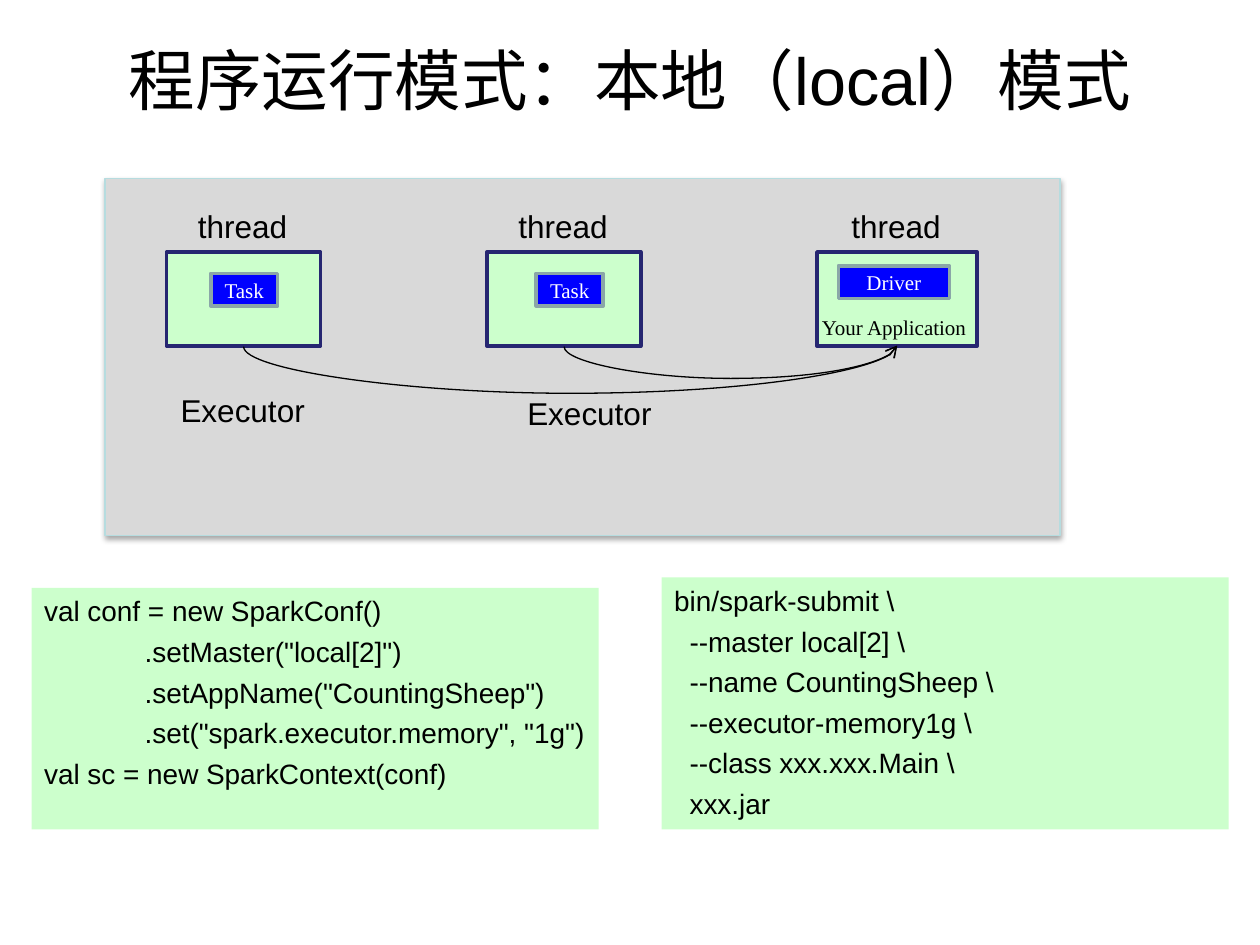
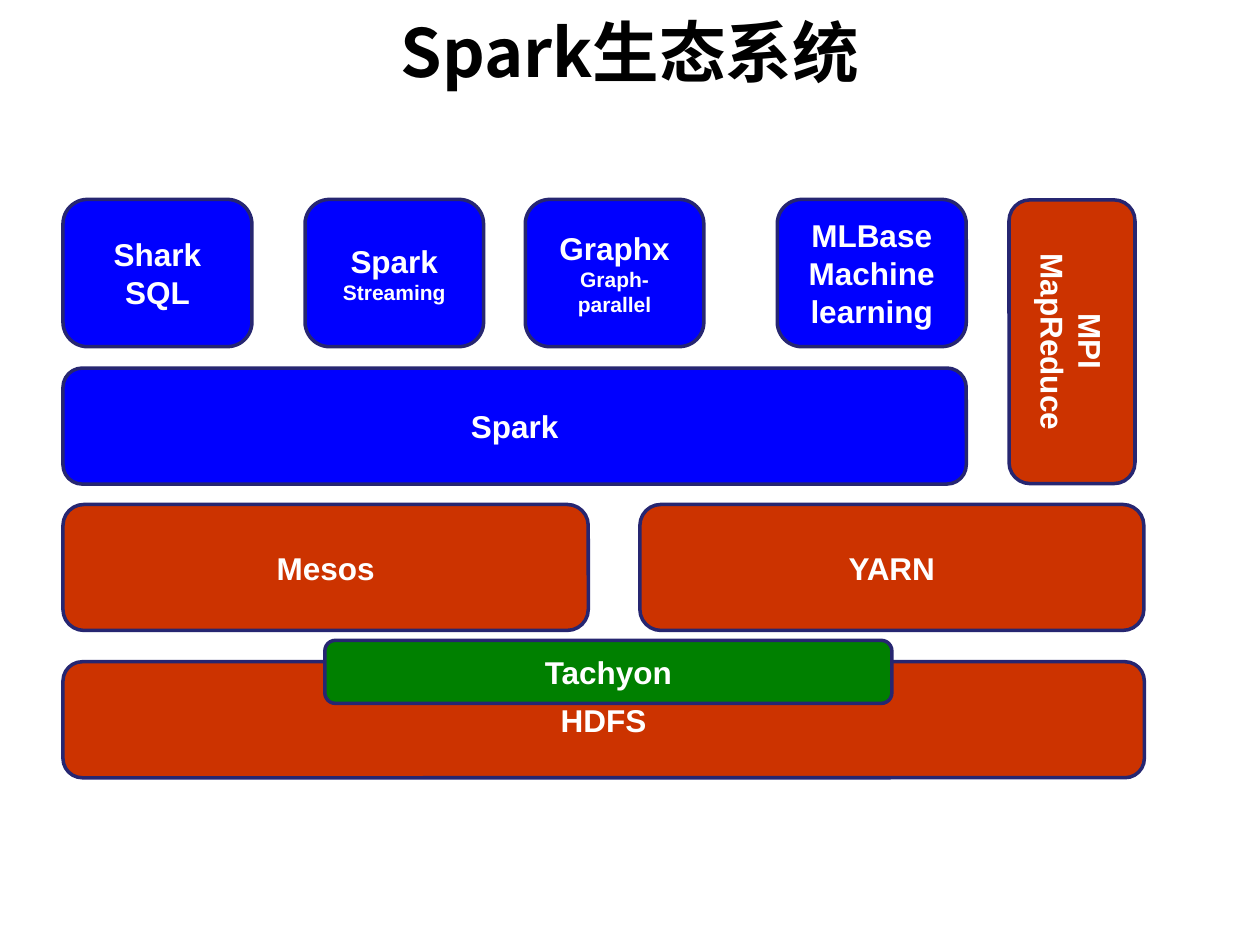
from collections import namedtuple
from dataclasses import dataclass

from lxml.etree import SubElement
from pptx import Presentation
from pptx.dml.color import RGBColor as Rgb
from pptx.enum.shapes import MSO_CONNECTOR as Connector, MSO_SHAPE as Preset
from pptx.enum.text import MSO_ANCHOR as Anchor, PP_ALIGN as Align
from pptx.oxml.ns import qn
from pptx.util import Cm, Pt

Box = namedtuple("Box", "x y w h")
Thread = namedtuple("Thread", "x w tag tag_box caption caption_box size face")


@dataclass(frozen=True)
class Theme:
    """Colours, faces and sizes shared by both slides."""
    black: str = "000000"
    white: str = "FFFFFF"
    grey: str = "D9D9D9"
    pale_edge: str = "B6DCDF"
    mint: str = "CCFFCC"
    navy: str = "262671"
    blue: str = "0000FF"
    steel: str = "8AA6A8"
    red: str = "CC3300"
    green: str = "008000"
    sans: str = "Arial"
    serif: str = "Times New Roman"
    cjk: str = "Noto Sans CJK SC"
    title: int = 38
    body: int = 18
    code: int = 16
    small: int = 12
    thin: float = 0.75
    edge: float = 2


THEME = Theme()


def apply(target, values):
    """Set each named attribute on the target."""
    for name, value in values.items():
        setattr(target, name, value)


def place(box):
    """Turn a box in centimetres into lengths."""
    return [Cm(value) for value in box]


def within(outer, inner):
    """Move a box relative to the corner of another."""
    return Box(outer.x + inner.x, outer.y + inner.y, inner.w, inner.h)


def write(shape, lines, size=THEME.body, face=THEME.sans, color=THEME.black, bold=False,
          align=Align.LEFT, anchor=Anchor.TOP, gap=0, wrap=True):
    """Write lines, each a string or a (string, size) pair, into a shape."""
    frame = shape.text_frame
    apply(frame, {"word_wrap": wrap, "vertical_anchor": anchor})
    for index, line in enumerate(lines):
        text, points = line if isinstance(line, tuple) else (line, size)
        paragraph = frame.add_paragraph() if index else frame.paragraphs[0]
        apply(paragraph, {"alignment": align, "space_before": Pt(gap if index else 0)})
        run = paragraph.add_run()
        run.text = text
        apply(run.font, {"name": face, "size": Pt(points), "bold": bold})
        run.font.color.rgb = Rgb.from_string(color)
        SubElement(run._r.get_or_add_rPr(), qn("a:ea"), typeface=THEME.cjk)


def add_label(shapes, box, text, **style):
    """Add a line of free text."""
    write(shapes.add_textbox(*place(box)), [text], **style)


def add_block(shapes, box, fill, edge=None, width=THEME.edge, preset=Preset.RECTANGLE):
    """Add a filled preset shape, outlined if an edge colour is given."""
    block = shapes.add_shape(preset, *place(box))
    block.shadow.inherit = False
    block.fill.solid()
    block.fill.fore_color.rgb = Rgb.from_string(fill)
    if edge:
        block.line.color.rgb = Rgb.from_string(edge)
        block.line.width = Pt(width)
    else:
        block.line.fill.background()
    return block


def add_title(slide, box, text, **style):
    """Add the centred slide title."""
    add_label(slide.shapes, box, text, size=THEME.title, align=Align.CENTER,
              anchor=Anchor.MIDDLE, **style)


def add_soft_shadow(shape):
    """Cast a soft shadow straight below a shape."""
    effects = shape._element.spPr.find(qn("a:effectLst"))
    shadow = SubElement(effects, qn("a:outerShdw"), blurRad=str(Pt(3.1)),
                        dist=str(Pt(1.8)), dir="5400000", rotWithShape="0")
    color = SubElement(shadow, qn("a:srgbClr"), val=THEME.black)
    SubElement(color, qn("a:alpha"), val="35000")


def add_sagging_arrow(shapes, left, right, y, sag):
    """Draw a curved arrow that hangs below two points at one height."""
    thickness, middle, half = 0.02, (left + right) / 2, (right - left) / 2
    arrow = shapes.add_connector(Connector.CURVE, Cm(middle + thickness / 2), Cm(y + half),
                                 Cm(middle - thickness / 2), Cm(y - half))
    arrow.line.color.rgb = Rgb.from_string(THEME.black)
    arrow.line.width = Pt(THEME.thin)
    properties = arrow._element.spPr
    properties.find(qn("a:xfrm")).set("rot", "5400000")
    guides = properties.find(qn("a:prstGeom")).find(qn("a:avLst"))
    SubElement(guides, qn("a:gd"), name="adj1", fmla=f"val {round(-sag / thickness * 100000)}")
    SubElement(properties.find(qn("a:ln")), qn("a:tailEnd"), type="arrow")
    SubElement(properties, qn("a:effectLst"))


def add_thread(shapes, panel, thread):
    """Draw one thread with its tag and caption, and return its box."""
    box = within(panel, Box(thread.x, 1.48, thread.w, 1.9))
    add_block(shapes, box, THEME.mint, THEME.navy)
    tag = add_block(shapes, within(box, thread.tag_box), THEME.blue, THEME.steel)
    write(tag, [thread.tag], size=THEME.small, face=THEME.serif, color=THEME.white,
          align=Align.CENTER, anchor=Anchor.MIDDLE)
    add_label(shapes, within(box, Box((box.w - 2.34) / 2, -1.04, 2.34, 1.02)), "thread", wrap=False)
    add_label(shapes, within(box, thread.caption_box), thread.caption, size=thread.size,
              face=thread.face, wrap=False)
    return box


def add_runtime(shapes, panel):
    """Draw the local process: two executors reporting to the driver."""
    add_soft_shadow(add_block(shapes, panel, THEME.grey, THEME.pale_edge, THEME.thin))
    executor, application = (THEME.body, THEME.sans), (THEME.small, THEME.serif)
    threads = [
        Thread(1.24, 3.1, "Task", Box(0.89, 0.43, 1.35, 0.66),
               "Executor", Box(0.03, 2.67, 3.05, 1.02), *executor),
        Thread(7.7, 3.1, "Task", Box(0.99, 0.43, 1.35, 0.66),
               "Executor", Box(0.56, 2.74, 3.05, 1.02), *executor),
        Thread(14.35, 3.23, "Driver", Box(0.43, 0.28, 2.24, 0.66),
               "Your Application", Box(-0.15, 1.14, 3.45, 0.76), *application),
    ]
    *workers, driver = [add_thread(shapes, panel, thread) for thread in threads]
    for worker, sag in zip(workers, (0.94, 0.64)):
        add_sagging_arrow(shapes, worker.x + worker.w / 2, driver.x + driver.w / 2,
                          driver.y + driver.h, sag)


def add_code(shapes, box, lines):
    """Show lines of code on a mint panel."""
    write(add_block(shapes, box, THEME.mint), lines, size=THEME.code, gap=4)


def add_stack(shapes, area):
    """Draw the layers of the ecosystem, top to bottom."""
    apps, engine, manager, storage, cache = 0, 3.4, 6.15, 9.32, 8.89
    layers = [
        (Box(0, apps, 3.81, 2.97), THEME.blue, ["Shark", "SQL"], 0),
        (Box(4.88, apps, 3.6, 2.97), THEME.blue, ["Spark", ("Streaming", THEME.small)], 0),
        (Box(9.32, apps, 3.6, 2.97), THEME.blue, ["Graphx", ("Graph-parallel", THEME.small)], 0),
        (Box(14.4, apps, 3.81, 2.97), THEME.blue, ["MLBase", "Machine", "learning"], 0),
        (Box(0, engine, 18.21, 2.34), THEME.blue, ["Spark"], 0),
        (Box(17.48, 1.6, 5.72, 2.54), THEME.red, ["MPI", "MapReduce"], 90),
        (Box(0, manager, 10.59, 2.54), THEME.red, ["Mesos"], 0),
        (Box(11.63, manager, 10.16, 2.54), THEME.red, ["YARN"], 0),
        (Box(0, storage, area.w, 2.34), THEME.red, ["HDFS"], 0),
        (Box(5.28, cache, 11.43, 1.27), THEME.green, ["Tachyon"], 0),
    ]
    for box, fill, lines, turn in layers:
        layer = add_block(shapes, within(area, box), fill, THEME.navy,
                          preset=Preset.ROUNDED_RECTANGLE)
        layer.rotation = turn
        write(layer, lines, color=THEME.white, bold=True, align=Align.CENTER,
              anchor=Anchor.MIDDLE)


def build_local_mode(slide):
    """Build the slide on local mode."""
    add_title(slide, Box(1.27, 0, 22.86, 3.18), "程序运行模式：本地（local）模式")
    add_runtime(slide.shapes, Box(2.12, 3.6, 19.25, 7.2))
    add_code(slide.shapes, Box(0.64, 11.85, 11.43, 4.87), [
        "val conf = new SparkConf()",
        '             .setMaster("local[2]")',
        '             .setAppName("CountingSheep")',
        '             .set("spark.executor.memory", "1g")',
        "val sc = new SparkContext(conf)",
    ])
    add_code(slide.shapes, Box(13.34, 11.64, 11.43, 5.08), [
        "bin/spark-submit \\",
        "  --master local[2] \\",
        "  --name CountingSheep \\",
        "  --executor-memory1g \\",
        "  --class xxx.xxx.Main \\",
        "  xxx.jar",
    ])


def build_ecosystem(slide):
    """Build the slide on the ecosystem."""
    add_stack(slide.shapes.add_group_shape().shapes, Box(1.27, 4.02, 21.8, 11.65))
    add_title(slide, Box(0, 0.03, 25.4, 2), "Spark生态系统", face=THEME.cjk, bold=True)


def main():
    """Build and save the presentation."""
    deck = Presentation()
    apply(deck, {"slide_width": Cm(25.4), "slide_height": Cm(19.05)})
    for build in (build_local_mode, build_ecosystem):
        build(deck.slides.add_slide(deck.slide_layouts[6]))
    deck.save("out.pptx")


if __name__ == "__main__":
    main()
